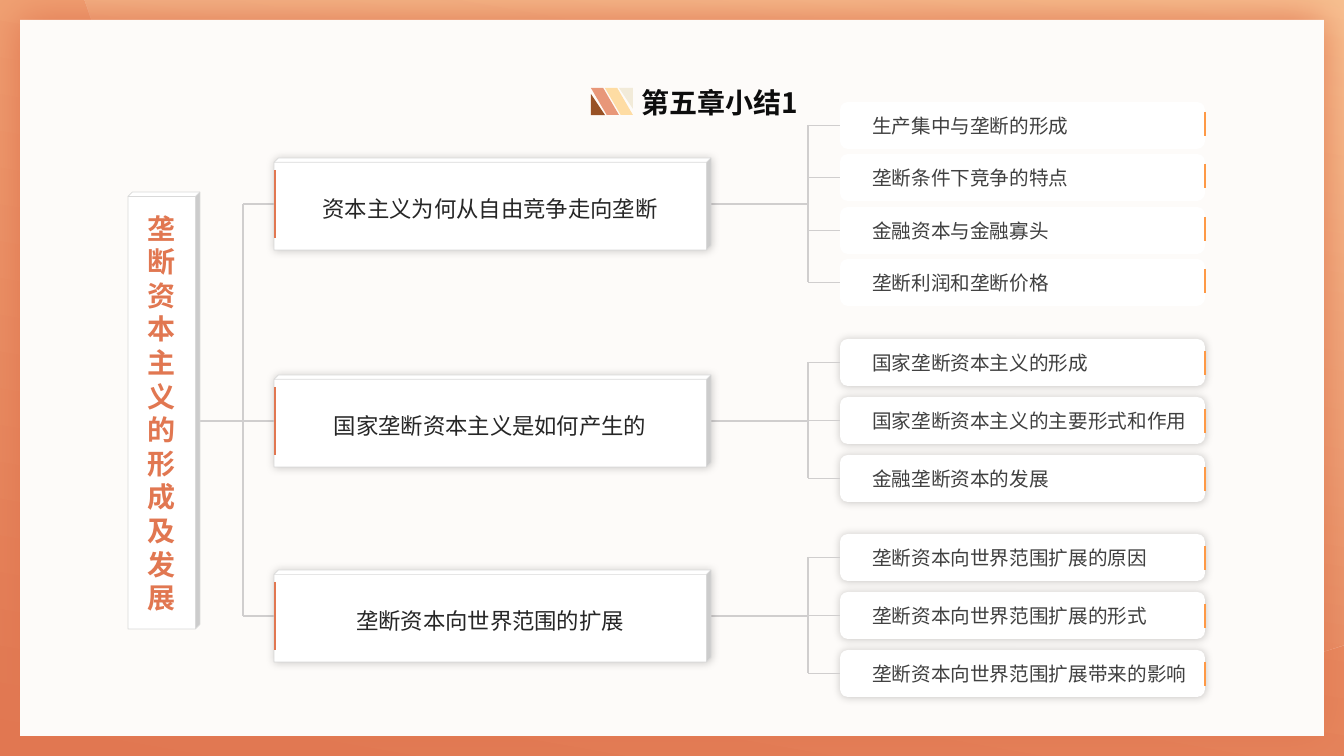
from lxml.etree import SubElement
from pptx import Presentation
from pptx.dml.color import RGBColor
from pptx.enum.shapes import MSO_CONNECTOR, MSO_SHAPE
from pptx.enum.text import MSO_ANCHOR, MSO_AUTO_SIZE, PP_ALIGN
from pptx.oxml.ns import qn
from pptx.util import Emu, Pt

WHITE = RGBColor(0xFF, 0xFF, 0xFF)
BLACK = RGBColor(0x00, 0x00, 0x00)
INK = RGBColor(0x0D, 0x0D, 0x0D)
TOPIC_INK = RGBColor(0x26, 0x26, 0x26)
CARD_INK = RGBColor(0x40, 0x40, 0x40)
EDGE = RGBColor(0xD9, 0xD9, 0xD9)
WIRE = RGBColor(0xD0, 0xCE, 0xCE)
CORAL = RGBColor(0xE1, 0x77, 0x51)
APRICOT = RGBColor(0xF4, 0xAD, 0x7D)
PEACH = RGBColor(0xFD, 0xD5, 0xA6)
ORANGE = RGBColor(0xFE, 0x99, 0x46)
PAPER = RGBColor(0xFD, 0xFB, 0xF9)
SAND = RGBColor(0xFE, 0xDC, 0xA3)
CREAM = RGBColor(0xF2, 0xEB, 0xD9)
SALMON = RGBColor(0xE8, 0x97, 0x79)
BROWN = RGBColor(0x98, 0x51, 0x25)

FONT = "Noto Sans CJK SC"
WIDTH, HEIGHT = 1344, 756
TOPIC_LEFT, TOPIC_WIDTH, TOPIC_HEIGHT = 274, 437, 92
CARD_LEFT, CARD_WIDTH, CARD_HEIGHT = 840, 365, 47
ROOT_SPINE, CARD_SPINE = 243, 808

# topic, its top, top of the first card, distance to the last card, soft shadow, cards
BRANCHES = [
    ("资本主义为何从自由竞争走向垄断", 158, 102, 157, False,
     ["生产集中与垄断的形成", "垄断条件下竞争的特点", "金融资本与金融寡头", "垄断利润和垄断价格"]),
    ("国家垄断资本主义是如何产生的", 375, 339, 116, True,
     ["国家垄断资本主义的形成", "国家垄断资本主义的主要形式和作用", "金融垄断资本的发展"]),
    ("垄断资本向世界范围的扩展", 570, 534, 116, True,
     ["垄断资本向世界范围扩展的原因", "垄断资本向世界范围扩展的形式",
      "垄断资本向世界范围扩展带来的影响"]),
]


def px(length):
    return Emu(round(length * 914400 / 100.8))


def curve(start, pull_a, pull_b, end, steps=16):
    """Points along a cubic Bezier curve, without its start."""
    points = []
    for step in range(1, steps + 1):
        t = step / steps
        weights = ((1 - t) ** 3, 3 * t * (1 - t) ** 2, 3 * t * t * (1 - t), t ** 3)
        points.append(tuple(
            round(sum(w * p[axis] for w, p in zip(weights, (start, pull_a, pull_b, end))))
            for axis in (0, 1)))
    return points


def add_color(parent, color, opacity=100):
    node = SubElement(parent, qn("a:srgbClr"), val=str(color))
    if opacity < 100:
        SubElement(node, qn("a:alpha"), val=str(opacity * 1000))


def write(frame, text, size, color, bold=False, align=PP_ALIGN.LEFT,
          anchor=MSO_ANCHOR.MIDDLE, indent=0, spacing=None):
    frame.word_wrap = True
    frame.auto_size = MSO_AUTO_SIZE.NONE
    frame.vertical_anchor = anchor
    para = frame.paragraphs[0]
    para.alignment = align
    para.line_spacing = spacing
    if indent:
        para._p.get_or_add_pPr().set("marL", str(px(indent)))
    span = para.add_run()
    span.text = text
    span.font.name = FONT
    span.font.size = Pt(size)
    span.font.bold = bold
    span.font.color.rgb = color
    SubElement(span._r.get_or_add_rPr(), qn("a:ea"), typeface=FONT)


class Painter:
    def __init__(self, page):
        self.page = page
        self.shapes = page.shapes

    def shape(self, kind, left, top, width, height, fill=None, edge=None, adjust=None, flip=""):
        box = self.shapes.add_shape(kind, px(left), px(top), px(width), px(height))
        if adjust is not None:
            box.adjustments[0] = adjust
        for axis in flip:
            box._element.spPr.find(qn("a:xfrm")).set("flip" + axis, "1")
        return self.finish(box, fill, edge)

    def finish(self, box, fill=None, edge=None):
        box.shadow.inherit = False
        if fill is not None:
            box.fill.solid()
            box.fill.fore_color.rgb = fill
        if edge is None:
            box.line.fill.background()
        else:
            box.line.color.rgb = edge
            box.line.width = Pt(0.5)
        return box

    def gradient(self, box, start, end, end_opacity=100):
        box.fill.gradient()
        box.fill.gradient_angle = 80
        stops = box._element.spPr.find(qn("a:gradFill")).find(qn("a:gsLst"))
        for stop in list(stops):
            stops.remove(stop)
        for place, color, opacity in ((0, start, 100), (100000, end, end_opacity)):
            add_color(SubElement(stops, qn("a:gs"), pos=str(place)), color, opacity)

    def glow(self, box, color, opacity, blur):
        effects = box._element.spPr.find(qn("a:effectLst"))
        shadow = SubElement(effects, qn("a:outerShdw"), blurRad=str(Pt(blur)), dist="0",
                            dir="18900000", algn="ctr", rotWithShape="0")
        add_color(shadow, color, opacity)

    def line(self, x1, y1, x2, y2, color=WIRE, weight=1, card=None):
        """Straight line; a given card holds its start by the left side."""
        wire = self.shapes.add_connector(
            MSO_CONNECTOR.STRAIGHT, px(x1), px(y1), px(x2), px(y2))
        if card is not None:
            wire.begin_connect(card, 1)
            wire.end_y = wire.begin_y
        wire.line.color.rgb = color
        wire.line.width = Pt(weight)
        SubElement(wire._element.spPr, qn("a:effectLst"))

    def backdrop(self):
        base = self.shape(MSO_SHAPE.RECTANGLE, 0, 0, WIDTH, HEIGHT)
        self.gradient(base, CORAL, APRICOT)
        outline = [(WIDTH, 0), (WIDTH, 645), (1325, 651)]
        outline += curve((1325, 651), (1232, 680), (1133, 696), (1030, 696))
        outline += curve((1030, 696), (602, 696), (238, 424), (99, 44))
        builder = self.shapes.build_freeform(84, 0, scale=float(px(1)))
        builder.add_line_segments(outline, close=True)
        sweep = self.finish(builder.convert_to_shape())
        self.gradient(sweep, CORAL, PEACH, end_opacity=50)
        panel = self.shape(MSO_SHAPE.RECTANGLE, 20, 20, 1304, 716, PAPER)
        self.glow(panel, CORAL, 100, 30)

    def heading(self, text):
        title = self.shapes.title
        title.left, title.top, title.width, title.height = px(631), px(80), px(199), px(78)
        write(title.text_frame, text, 20, INK, bold=True, anchor=MSO_ANCHOR.TOP)
        self.shapes._spTree.append(title._element)
        for left, top, slant, corner, flip in ((605, 88, SAND, CREAM, "HV"),
                                               (591, 94, SALMON, BROWN, "")):
            self.shape(MSO_SHAPE.PARALLELOGRAM, left, 88, 28, 27, slant, adjust=0.585, flip="H")
            self.shape(MSO_SHAPE.RIGHT_TRIANGLE, left + (14 if flip else 0), top, 14, 21,
                       corner, flip=flip)

    def card(self, text, top, soft):
        box = self.shape(MSO_SHAPE.ROUNDED_RECTANGLE, CARD_LEFT, top,
                         CARD_WIDTH, CARD_HEIGHT, WHITE)
        if soft:
            self.glow(box, BLACK, 20, 6)
        write(box.text_frame, text, 14, CARD_INK, indent=20)
        mark = top + (12 if soft else 10)
        right = CARD_LEFT + CARD_WIDTH
        self.line(right, mark, right, mark + 24, ORANGE, 2)
        middle = top + CARD_HEIGHT // 2
        self.line(CARD_LEFT, middle, CARD_SPINE, middle, card=box)

    def branch(self, topic, top, first, reach, soft, cards):
        for index, text in enumerate(cards):
            self.card(text, first + round(reach * index / (len(cards) - 1)), soft)
        start = first + CARD_HEIGHT // 2
        self.line(CARD_SPINE, start, CARD_SPINE, start + reach)
        middle = top + TOPIC_HEIGHT // 2
        self.line(CARD_SPINE, middle, 640, middle)
        self.line(TOPIC_LEFT, middle, ROOT_SPINE, middle)
        box = self.shape(MSO_SHAPE.CUBE, TOPIC_LEFT, top, TOPIC_WIDTH, TOPIC_HEIGHT,
                         WHITE, EDGE, adjust=0.048)
        self.glow(box, BLACK, 20, 6)
        write(box.text_frame, topic, 16, TOPIC_INK, align=PP_ALIGN.CENTER, spacing=1.2)
        self.line(TOPIC_LEFT + 1, top + 12, TOPIC_LEFT + 1, top + 80, CORAL, 2)

    def root(self, text):
        middles = [top + TOPIC_HEIGHT // 2 for _, top, *_ in BRANCHES]
        self.line(ROOT_SPINE, middles[0], ROOT_SPINE, middles[-1])
        self.line(ROOT_SPINE, middles[1], 200, middles[1])
        box = self.shape(MSO_SHAPE.CUBE, 128, 192, 72, 437, WHITE, EDGE, adjust=0.063)
        write(box.text_frame, text, 20, CORAL, bold=True, align=PP_ALIGN.CENTER,
              spacing=Pt(24))


def main():
    deck = Presentation()
    deck.slide_width, deck.slide_height = px(WIDTH), px(HEIGHT)
    painter = Painter(deck.slides.add_slide(deck.slide_layouts[5]))
    painter.backdrop()
    painter.heading("第五章小结1")
    for branch in BRANCHES:
        painter.branch(*branch)
    painter.root("垄断资本主义的形成及发展")
    deck.save("out.pptx")


if __name__ == "__main__":
    main()
